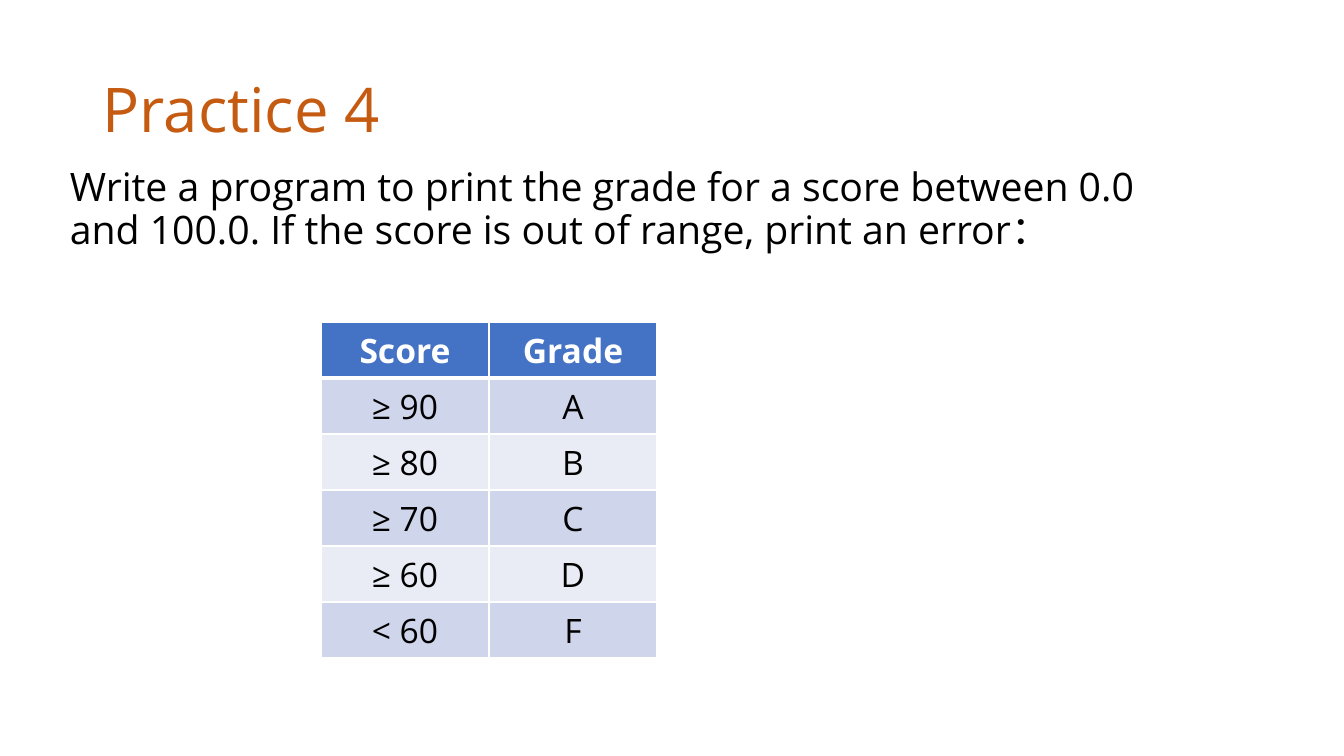
from lxml.etree import SubElement
from pptx import Presentation
from pptx.dml.color import RGBColor
from pptx.enum.text import MSO_ANCHOR, PP_ALIGN
from pptx.oxml.ns import qn
from pptx.util import Emu, Pt

PX_PER_INCH = 100.8
FONT = "Open Sans"
ORANGE = RGBColor(0xC5, 0x5A, 0x11)
BLACK = RGBColor(0, 0, 0)
WHITE = RGBColor(0xFF, 0xFF, 0xFF)
HEADER_BLUE = RGBColor(0x44, 0x72, 0xC4)
BAND_COLORS = [RGBColor(0xCF, 0xD5, 0xEA), RGBColor(0xE9, 0xEB, 0xF5)]

GRADES = [
    ("Score", "Grade"),
    ("≥ 90", "A"),
    ("≥ 80", "B"),
    ("≥ 70", "C"),
    ("≥ 60", "D"),
    ("< 60", "F"),
]


def px(length):
    return Emu(round(length * 914400 / PX_PER_INCH))


def write_text(frame, text, size, color, bold=False, **para_format):
    para = frame.paragraphs[0]
    for name, value in para_format.items():
        setattr(para, name, value)
    span = para.add_run()
    span.text = text
    font_format = {"name": FONT, "size": Pt(size), "bold": bold}
    for name, value in font_format.items():
        setattr(span.font, name, value)
    span.font.color.rgb = color


def add_text(page, bounds, anchor, text, size, color, **para_format):
    box = page.shapes.add_textbox(*map(px, bounds))
    box.text_frame.word_wrap = True
    box.text_frame.vertical_anchor = anchor
    write_text(box.text_frame, text, size, color, line_spacing=0.9, **para_format)


def set_borders(cell, widths):
    properties = cell._tc.get_or_add_tcPr()
    for side, width in widths.items():
        line = SubElement(properties, qn(f"a:ln{side}"), w=str(Pt(width)))
        fill = SubElement(line, qn("a:solidFill"))
        SubElement(fill, qn("a:srgbClr"), val=str(WHITE))


def add_grade_table(page, left, top, column_width, row_height, rows):
    row_count, column_count = len(rows), len(rows[0])
    table = page.shapes.add_table(
        row_count, column_count, px(left), px(top),
        px(column_width * column_count), px(row_height * row_count),
    ).table
    for row_index, values in enumerate(rows):
        header = row_index == 0
        fill_color = HEADER_BLUE if header else BAND_COLORS[(row_index - 1) % 2]
        # The rule under the header is thicker than the others
        widths = {"L": 1, "R": 1, "T": 3 if row_index == 1 else 1, "B": 3 if header else 1}
        for column_index, value in enumerate(values):
            cell = table.cell(row_index, column_index)
            set_borders(cell, widths)
            cell.fill.solid()
            cell.fill.fore_color.rgb = fill_color
            cell.vertical_anchor = MSO_ANCHOR.MIDDLE
            write_text(cell.text_frame, value, 24, WHITE if header else BLACK,
                       bold=header, alignment=PP_ALIGN.CENTER)


def main():
    deck = Presentation()
    deck.slide_width, deck.slide_height = px(1344), px(756)
    page = deck.slides.add_slide(deck.slide_layouts[6])

    # Title
    add_text(page, (93, 40, 1159, 146), MSO_ANCHOR.MIDDLE, "Practice 4", 44, ORANGE)

    # Task
    add_text(
        page, (60, 163, 1159, 538), MSO_ANCHOR.TOP,
        "Write a program to print the grade for a score between 0.0 and 100.0. "
        "If the score is out of range, print an error：",
        28, BLACK, space_before=Pt(10),
    )

    # Grade table
    add_grade_table(page, 321, 322, 168, 56, GRADES)

    deck.save("out.pptx")


if __name__ == "__main__":
    main()
